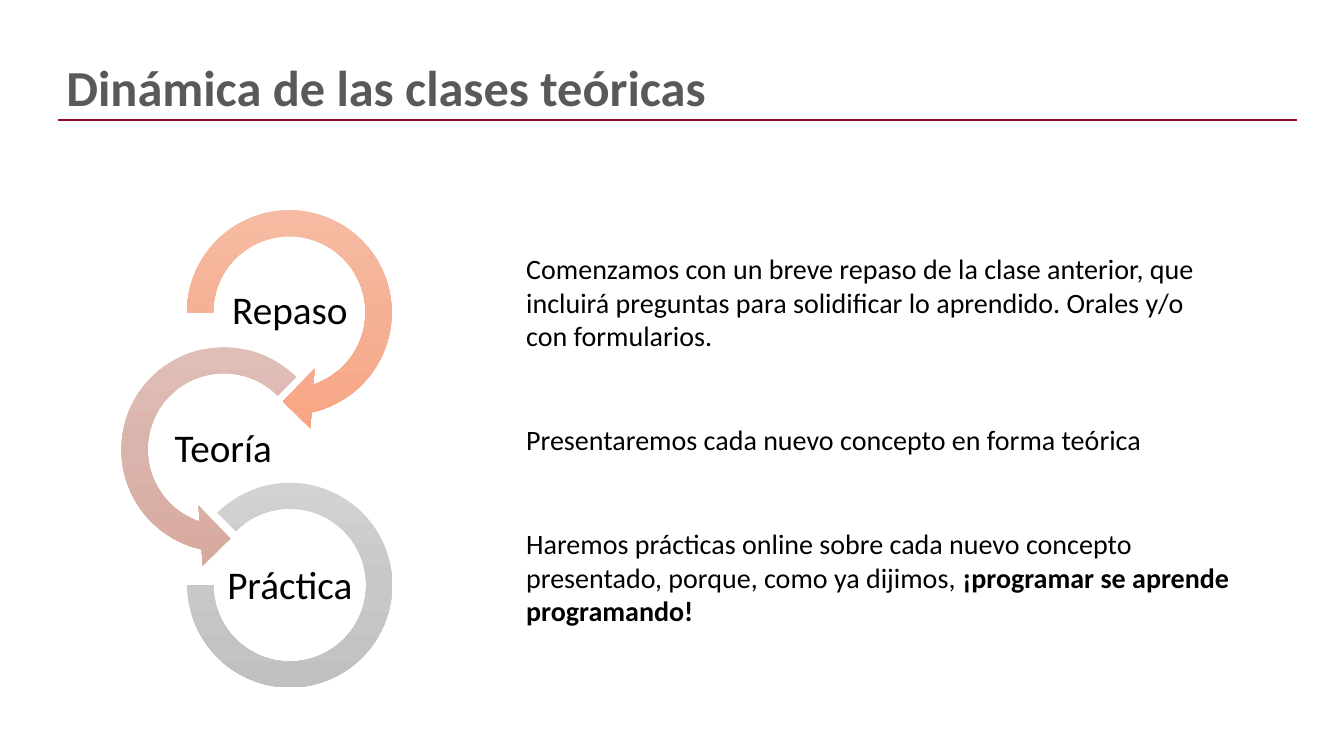
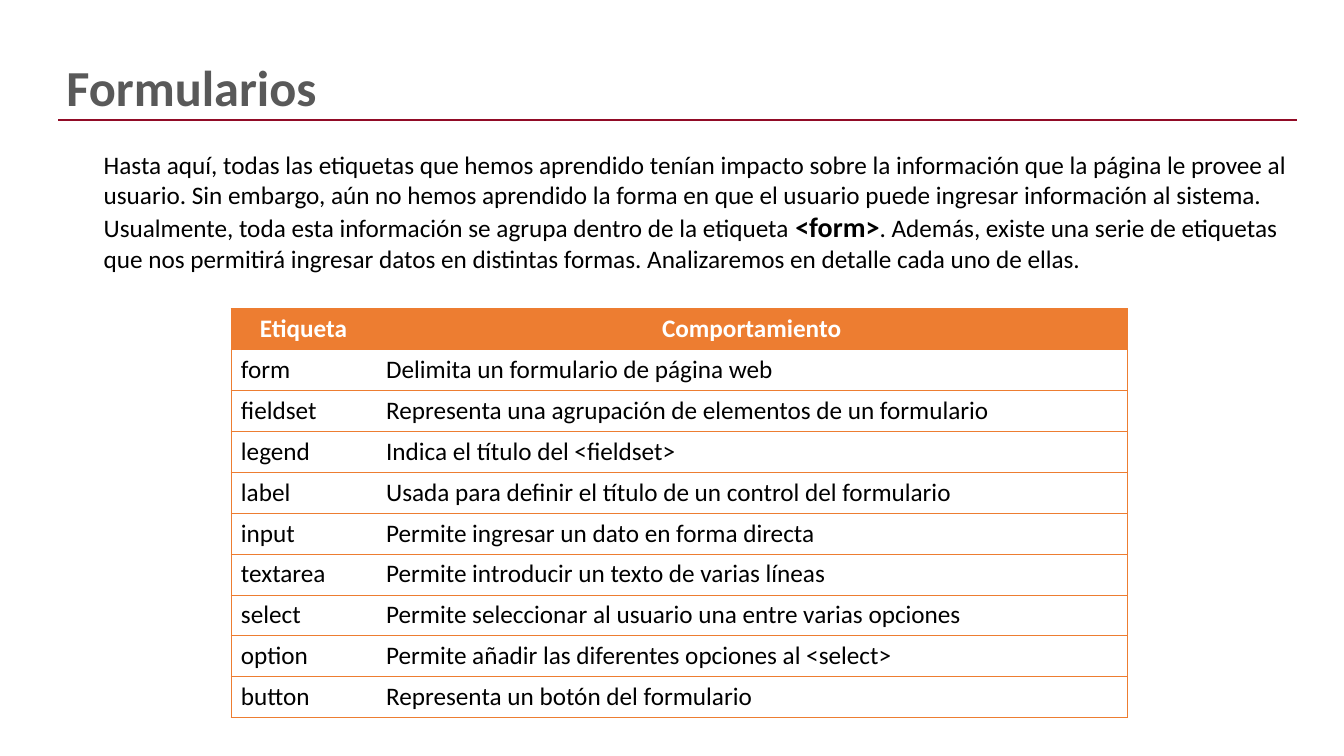
import copy

import pptx
import pptx.dml.color
import pptx.enum.shapes
import pptx.enum.text
import pptx.oxml
import pptx.oxml.ns
import pptx.util

Inches = pptx.util.Inches
Pt = pptx.util.Pt
MIDDLE = pptx.enum.text.MSO_ANCHOR.MIDDLE
TOP = pptx.enum.text.MSO_ANCHOR.TOP
CENTER = pptx.enum.text.PP_ALIGN.CENTER
LEFT = pptx.enum.text.PP_ALIGN.LEFT
SHAPES = pptx.enum.shapes.MSO_SHAPE

FONT = "Calibri"
COLORS = {
    "title": "595959",
    "rule": "910B26",
    "text": "000000",
    "white": "FFFFFF",
    "table": "ED7D31",
}
PLAIN_TABLE_STYLE = "{2D5ABB26-0587-4C30-8999-92F81FD0307C}"

# Step: label, shape, left offset, top offset, size, adjustments, gradient
STEPS = [
    ("Repaso", SHAPES.CIRCULAR_ARROW, 0.65, 0, 2.36,
     (0.11, 11.42, 45, 108, 0.125), ("F7BDA5", "F5B196", "F8A582")),
    ("Teoría", SHAPES.LEFT_CIRCULAR_ARROW, 0, 1.36, 2.36,
     (0.11, 11.42, 63, 189, 0.125), ("E0C0B9", "DAB4AC", "D7A89E")),
    ("Práctica", SHAPES.BLOCK_ARC, 0.82, 2.87, 2.03,
     (135, 108, 0.127), ("D2D2D2", "C8C8C8", "C0C0C0")),
]
LABEL_LEFTS = (1.18, 0.52, 1.18)
STEP_PITCH = 1.365

# Description: height, runs (text, size, bold)
DESCRIPTIONS = [
    (1.11, [("Comenzamos con un breve repaso de la clase anterior, que incluirá "
             "preguntas para solidificar lo aprendido. Orales y/o con formularios.",
             20, False)]),
    (0.44, [("Presentaremos cada nuevo concepto en forma teórica", 20, False)]),
    (1.11, [("Haremos prácticas online sobre cada nuevo concepto presentado, "
             "porque, como ya dijimos, ", 20, False),
            ("¡programar se aprende programando!", 20, True)]),
]

FORM_INTRO = [
    ("Hasta aquí, todas las etiquetas que hemos aprendido tenían impacto sobre la "
     "información que la página le provee al usuario. Sin embargo, aún no hemos "
     "aprendido la forma en que el usuario puede ingresar información al sistema. "
     "Usualmente, toda esta información se agrupa dentro de la etiqueta", 18, False),
    (" <form>", 20, True),
    (". Además, existe una serie de etiquetas que nos permitirá ingresar datos en "
     "distintas formas. Analizaremos en detalle cada uno de ellas.", 18, False),
]

FORM_TAGS = [
    ("Etiqueta", "Comportamiento"),
    ("form", "Delimita un formulario de página web"),
    ("fieldset", "Representa una agrupación de elementos de un formulario"),
    ("legend", "Indica el título del <fieldset>"),
    ("label", "Usada para definir el título de un control del formulario"),
    ("input", "Permite ingresar un dato en forma directa"),
    ("textarea", "Permite introducir un texto de varias líneas"),
    ("select", "Permite seleccionar al usuario una entre varias opciones"),
    ("option", "Permite añadir las diferentes opciones al <select>"),
    ("button", "Representa un botón del formulario"),
]


def rgb(value):
    return pptx.dml.color.RGBColor.from_string(value)


def add_runs(paragraph, runs, color):
    for text, size, bold in runs:
        run = paragraph.add_run()
        run.text = text
        run.font.name = FONT
        run.font.size = Pt(size)
        run.font.bold = bold
        run.font.color.rgb = rgb(color)


def add_text(slide, left, top, width, height, runs, color=COLORS["text"],
             anchor=TOP, align=LEFT, spacing=1.0, inset=None):
    box = slide.shapes.add_textbox(
        Inches(left), Inches(top), Inches(width), Inches(height))
    frame = box.text_frame
    frame.word_wrap = True
    frame.vertical_anchor = anchor
    if inset is not None:
        frame.margin_left = frame.margin_right = Inches(inset)
        frame.margin_top = frame.margin_bottom = Inches(inset)
    paragraph = frame.paragraphs[0]
    paragraph.alignment = align
    paragraph.line_spacing = spacing
    add_runs(paragraph, runs, color)


def add_titled_slide(presentation, title):
    slide = presentation.slides.add_slide(presentation.slide_layouts[6])
    # Rule under the title
    rule = slide.shapes.add_connector(
        pptx.enum.shapes.MSO_CONNECTOR.STRAIGHT,
        Inches(0.58), Inches(1.19), Inches(12.86), Inches(1.19))
    rule.line.color.rgb = rgb(COLORS["rule"])
    rule.line.width = Pt(1)
    rule._element.spPr.append(pptx.oxml.parse_xml(
        f'<a:effectLst {pptx.oxml.ns.nsdecls("a")}/>'))
    # Title
    add_text(slide, 0.56, 0.58, 10.32, 0.64, [(title, 36, True)],
             COLORS["title"], anchor=MIDDLE, spacing=0.9)
    return slide


def fill_downward(shape, colors):
    shape.fill.gradient()
    shape.fill.gradient_angle = 270
    stop_list = shape._element.spPr.find(
        pptx.oxml.ns.qn("a:gradFill")).find(pptx.oxml.ns.qn("a:gsLst"))
    stop_list.insert(1, copy.deepcopy(stop_list[0]))
    for index, stop in enumerate(shape.fill.gradient_stops):
        stop.position = index / 2
        stop.color.rgb = rgb(colors[index])


def add_step_cycle(slide, left, top):
    for index, step in enumerate(STEPS):
        label, kind, shift, drop, size, adjustments, colors = step
        arc = slide.shapes.add_shape(
            kind, Inches(left + shift), Inches(top + drop), Inches(size), Inches(size))
        arc.shadow.inherit = False
        arc.line.fill.background()
        for position, value in enumerate(adjustments):
            arc.adjustments[position] = value
        fill_downward(arc, colors)
        add_text(slide, left + LABEL_LEFTS[index], top + 0.85 + index * STEP_PITCH,
                 1.31, 0.65, [(label, 28, False)], anchor=MIDDLE, align=CENTER,
                 spacing=0.9, inset=0.02)


def add_descriptions(slide, left, first_center, width):
    for index, (height, runs) in enumerate(DESCRIPTIONS):
        center = first_center + index * STEP_PITCH
        add_text(slide, left, center - height / 2, width, height, runs)


def set_borders(cell, sides):
    properties = cell._tc.get_or_add_tcPr()
    # Borders come before the fill, in the order left, right, top, bottom
    for index, side in enumerate(sides):
        properties.insert(index, pptx.oxml.parse_xml(
            f'<a:ln{side} {pptx.oxml.ns.nsdecls("a")} w="6350"><a:solidFill>'
            f'<a:srgbClr val="{COLORS["table"]}"/></a:solidFill></a:ln{side}>'))


def add_tag_table(slide, left, top, column_widths, row_height):
    frame = slide.shapes.add_table(
        len(FORM_TAGS), len(column_widths), Inches(left), Inches(top),
        Inches(sum(column_widths)), Inches(row_height * len(FORM_TAGS)))
    table = frame.table
    table.horz_banding = False
    table._tbl.tblPr.find(pptx.oxml.ns.qn("a:tableStyleId")).text = PLAIN_TABLE_STYLE
    for column, width in zip(table.columns, column_widths):
        column.width = Inches(width)
    for row_index, values in enumerate(FORM_TAGS):
        header = row_index == 0
        table.rows[row_index].height = Inches(row_height)
        for column_index, value in enumerate(values):
            cell = table.cell(row_index, column_index)
            if header:
                cell.fill.solid()
                cell.fill.fore_color.rgb = rgb(COLORS["table"])
            else:
                cell.fill.background()
            paragraph = cell.text_frame.paragraphs[0]
            paragraph.alignment = CENTER if header else LEFT
            add_runs(paragraph, [(value, 18, header)],
                     COLORS["white" if header else "text"])
            set_borders(cell, ("L" if column_index == 0 else "R", "T", "B"))


def build_class_slide(presentation):
    slide = add_titled_slide(presentation, "Dinámica de las clases teóricas")
    add_step_cycle(slide, 1.04, 1.92)
    add_descriptions(slide, 5.12, 3.0, 7.18)


def build_form_slide(presentation):
    slide = add_titled_slide(presentation, "Formularios")
    add_text(slide, 0.93, 1.43, 12.14, 1.4, FORM_INTRO)
    add_tag_table(slide, 2.29, 3.06, (1.44, 7.45), 0.406)


def main():
    presentation = pptx.Presentation()
    presentation.slide_width = Inches(13.33)
    presentation.slide_height = Inches(7.5)
    build_class_slide(presentation)
    build_form_slide(presentation)
    presentation.save("out.pptx")


if __name__ == "__main__":
    main()
